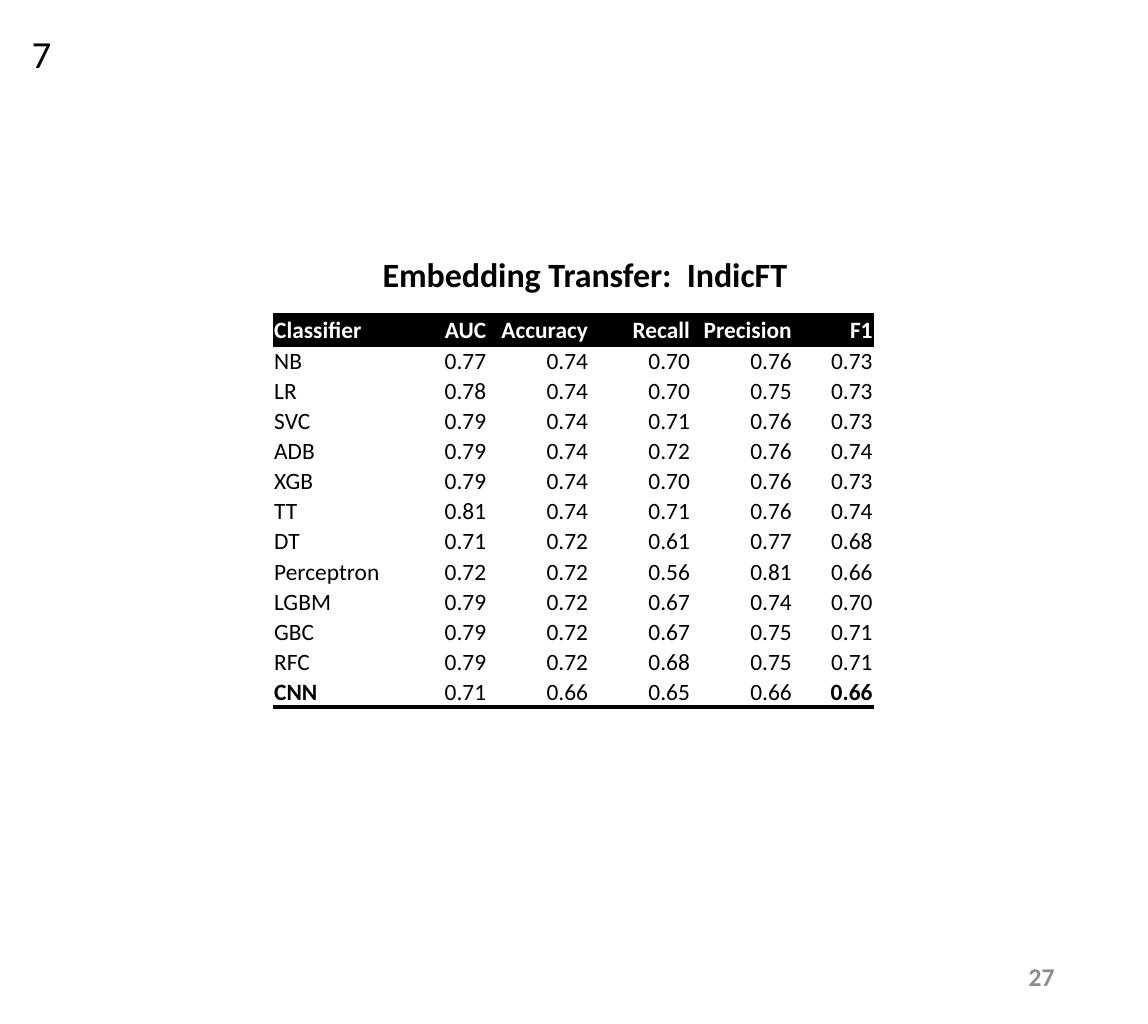
import pptx
import pptx.dml.color
import pptx.enum.text
import pptx.oxml
import pptx.oxml.ns
import pptx.util

Cm = pptx.util.Cm
Pt = pptx.util.Pt
ALIGN = pptx.enum.text.PP_ALIGN
ANCHOR = pptx.enum.text.MSO_ANCHOR

FONT = "Calibri"
BLACK, WHITE, GRAY = "000000", "FFFFFF", "8C8C8C"
WIDTHS = [1.87, 1.69, 1.69, 1.69, 1.69, 1.34]
HEIGHT = 0.5
SCORES = [
    ["Classifier", "AUC", "Accuracy", "Recall", "Precision", "F1"],
    ["NB", "0.77", "0.74", "0.70", "0.76", "0.73"],
    ["LR", "0.78", "0.74", "0.70", "0.75", "0.73"],
    ["SVC", "0.79", "0.74", "0.71", "0.76", "0.73"],
    ["ADB", "0.79", "0.74", "0.72", "0.76", "0.74"],
    ["XGB", "0.79", "0.74", "0.70", "0.76", "0.73"],
    ["TT", "0.81", "0.74", "0.71", "0.76", "0.74"],
    ["DT", "0.71", "0.72", "0.61", "0.77", "0.68"],
    ["Perceptron", "0.72", "0.72", "0.56", "0.81", "0.66"],
    ["LGBM", "0.79", "0.72", "0.67", "0.74", "0.70"],
    ["GBC", "0.79", "0.72", "0.67", "0.75", "0.71"],
    ["RFC", "0.79", "0.72", "0.68", "0.75", "0.71"],
    ["CNN", "0.71", "0.66", "0.65", "0.66", "0.66"],
]
LAST = len(SCORES) - 1
RULES = {0, 1, len(SCORES)}  # row edges that carry a black line


def color(code):
    return pptx.dml.color.RGBColor.from_string(code)


def write(frame, text, size, code=BLACK, bold=False, align=ALIGN.LEFT):
    para = frame.paragraphs[0]
    para.text = text
    para.alignment = align
    font = para.font
    font.name, font.size, font.bold = FONT, Pt(size), bold
    font.color.rgb = color(code)


def add_label(slide, box, text, size, wrap=True, anchor=ANCHOR.TOP, **style):
    frame = slide.shapes.add_textbox(*map(Cm, box)).text_frame
    frame.word_wrap = wrap
    frame.vertical_anchor = anchor
    write(frame, text, size, **style)


def add_border(cell, side, shown):
    fill = f'<a:solidFill><a:srgbClr val="{BLACK}"/></a:solidFill>' if shown else "<a:noFill/>"
    space = pptx.oxml.ns.nsdecls("a")
    line = f'<a:ln{side} {space} w="{Pt(2)}">{fill}</a:ln{side}>'
    cell._tc.get_or_add_tcPr().append(pptx.oxml.parse_xml(line))


def fill_cell(cell, text, row, col):
    head = row == 0
    cell.margin_left = cell.margin_right = cell.margin_top = Cm(0.02)
    cell.margin_bottom = 0
    cell.vertical_anchor = ANCHOR.BOTTOM
    borders = {"L": False, "R": False, "T": row in RULES, "B": row + 1 in RULES}
    for side, shown in borders.items():
        add_border(cell, side, shown)
    cell.fill.solid()
    cell.fill.fore_color.rgb = color(BLACK if head else WHITE)
    bold = head or (row == LAST and col in (0, len(WIDTHS) - 1))
    write(cell.text_frame, text, 11, WHITE if head else BLACK, bold,
          ALIGN.RIGHT if col else ALIGN.LEFT)


def add_scores(slide, left, top):
    count = len(SCORES)
    table = slide.shapes.add_table(
        count, len(WIDTHS), Cm(left), Cm(top),
        Cm(sum(WIDTHS)), Cm(HEIGHT * count)).table
    table.horz_banding = False
    for column, width in zip(table.columns, WIDTHS):
        column.width = Cm(width)
    for row, texts in enumerate(SCORES):
        table.rows[row].height = Cm(HEIGHT)
        for col, text in enumerate(texts):
            fill_cell(table.cell(row, col), text, row, col)


def main():
    deck = pptx.Presentation()
    deck.slide_width, deck.slide_height = Cm(19.05), Cm(16.99)
    slide = deck.slides.add_slide(deck.slide_layouts[6])
    add_label(slide, (3.78, 4.09, 11.86, 0.94), "Embedding Transfer:  IndicFT", 16,
              bold=True, align=ALIGN.CENTER)
    add_label(slide, (13.46, 15.75, 4.29, 0.91), "27", 12, anchor=ANCHOR.MIDDLE,
              code=GRAY, bold=True, align=ALIGN.RIGHT)
    add_label(slide, (0.28, 0.38, 0.84, 1.02), "7", 18, wrap=False)
    add_scores(slide, 4.53, 5.23)
    deck.save("out.pptx")


if __name__ == "__main__":
    main()
